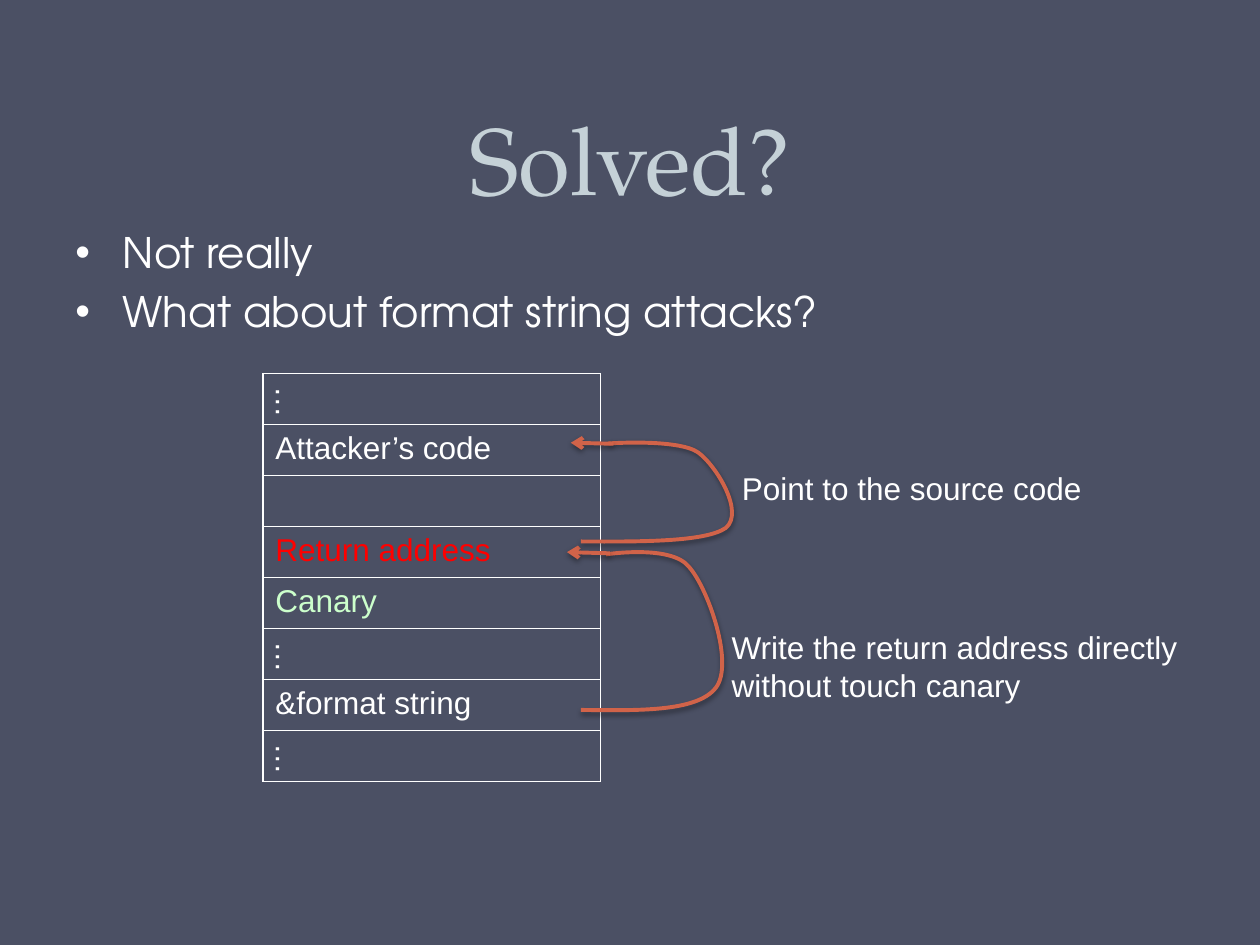
from dataclasses import dataclass

import pptx
import pptx.enum.shapes
import pptx.enum.text
import pptx.oxml
import pptx.oxml.ns
import pptx.util
from pptx.dml.color import RGBColor
from pptx.util import Pt

BACKGROUND = RGBColor(0x4B, 0x50, 0x64)
TITLE_COLOR = RGBColor(0xC5, 0xD1, 0xD7)
WHITE = RGBColor(0xFF, 0xFF, 0xFF)
RED = RGBColor(0xFF, 0x00, 0x00)
PALE_GREEN = RGBColor(0xCC, 0xFF, 0xCC)
ORANGE = RGBColor(0xD1, 0x63, 0x49)
BODY_FONT = "Arial"
BODY_SIZE = 18
ROW_HEIGHT = 29.16

Point = tuple[float, float]


@dataclass
class StackRow:
    text: str
    color: RGBColor = WHITE


@dataclass
class Label:
    lines: list[str]
    left: float
    top: float
    width: float
    height: float


@dataclass
class CurvedArrow:
    """A chain of cubic curves (start, then three points each) and its arrow tip."""
    top_left: Point
    bottom_right: Point
    points: list[Point]
    tip_start: Point
    tip_end: Point


STACK = [
    StackRow("…"), StackRow("Attacker’s code"), StackRow(""),
    StackRow("Return address", RED), StackRow("Canary", PALE_GREEN),
    StackRow("…"), StackRow("&format string"), StackRow("…"),
]
ARROWS = [
    CurvedArrow(
        (331.9, 315.4), (413.3, 406.1),
        [(331.9, 405.7), (365, 406.1), (398.2, 406.8), (409, 393.1),
         (419.8, 379.4), (404.6, 336.2), (393.8, 324),
         (383.8, 311), (346.3, 316.8), (346.3, 316.8)],
        (348.5, 316.2), (324, 315.5)),
    CurvedArrow(
        (331.9, 252.7), (418.3, 309.2),
        [(331.9, 309.4), (367.2, 309.6), (403.2, 309.6), (414.7, 301.7),
         (425.5, 293), (409.7, 266.4), (398.9, 258.5),
         (387.4, 250.6), (347.8, 253.4), (347.8, 253.4)],
        (350.6, 253.6), (326.2, 253)),
]
LABELS = [
    Label(["Write the return address directly", "without touch canary"],
          411, 355.2, 272.2, 51),
    Label(["Point to the source code"], 416.8, 264.2, 210.2, 29),
]


def xml(tag: str, attributes: str = "", content: str = ""):
    namespace = pptx.oxml.ns.nsdecls("a")
    return pptx.oxml.parse_xml(f"<a:{tag} {namespace} {attributes}>{content}</a:{tag}>")


def format_paragraph(paragraph, font: str, size: float, color: RGBColor) -> None:
    for run in paragraph.runs:
        run.font.name = font
        run.font.size = Pt(size)
        run.font.color.rgb = color


def add_text(slide, lines: list[str], left: float, top: float, width: float,
             height: float, font: str, size: float, color: RGBColor, wrap: bool = True):
    box = slide.shapes.add_textbox(Pt(left), Pt(top), Pt(width), Pt(height))
    box.text_frame.word_wrap = wrap
    box.text_frame.text = "\n".join(lines)
    for paragraph in box.text_frame.paragraphs:
        format_paragraph(paragraph, font, size, color)
    return box.text_frame


def add_title(slide) -> None:
    frame = add_text(slide, ["Solved?"], 36, 0, 648, 126,
                     "TeX Gyre Pagella", 54, TITLE_COLOR)
    frame.vertical_anchor = pptx.enum.text.MSO_ANCHOR.BOTTOM
    frame.paragraphs[0].alignment = pptx.enum.text.PP_ALIGN.CENTER
    frame.paragraphs[0].line_spacing = Pt(58)


def add_bullets(slide) -> None:
    frame = add_text(slide, ["Not really", "What about format string attacks?"],
                     36, 126, 648, 356.4, "TeX Gyre Adventor", 24, WHITE)
    for paragraph in frame.paragraphs:
        paragraph.space_before = Pt(4.8)
        properties = paragraph._p.get_or_add_pPr()
        properties.set("marL", str(Pt(27)))
        properties.set("indent", str(Pt(-27)))
        properties.append(xml("buFont", 'typeface="Arial"'))
        properties.append(xml("buChar", 'char="•"'))


def add_stack(slide) -> None:
    table = slide.shapes.add_table(len(STACK), 1, Pt(150.2), Pt(213.5), Pt(193),
                                   Pt(ROW_HEIGHT * len(STACK))).table
    table.first_row = False
    table.horz_banding = False
    border = f'<a:solidFill><a:srgbClr val="{WHITE}"/></a:solidFill>'
    for index, row in enumerate(STACK):
        table.rows[index].height = Pt(ROW_HEIGHT)
        cell = table.cell(index, 0)
        cell.text_frame.text = row.text
        format_paragraph(cell.text_frame.paragraphs[0], BODY_FONT, BODY_SIZE, row.color)
        cell.fill.background()
        properties = cell._tc.get_or_add_tcPr()
        for position, side in enumerate(("lnL", "lnR", "lnT", "lnB")):
            properties.insert(position, xml(side, f'w="{Pt(1)}"', border))
        if row.text == "…":
            cell.vertical_anchor = pptx.enum.text.MSO_ANCHOR.BOTTOM
            properties.set("vert", "vert")


def style_stroke(shape) -> None:
    """Orange line with a soft shadow straight below."""
    shape.line.color.rgb = ORANGE
    shape.line.width = Pt(2.25)
    shadow = (f'<a:outerShdw blurRad="{Pt(3.1)}" dist="{Pt(1.6)}" dir="5400000" '
              'rotWithShape="0"><a:srgbClr val="000000"><a:alpha val="38000"/>'
              '</a:srgbClr></a:outerShdw>')
    shape.element.spPr.append(xml("effectLst", content=shadow))


def add_curve(slide, arrow: CurvedArrow):
    """Frame a freeform by its corners, then give it the cubic outline."""
    left, top = arrow.top_left
    builder = slide.shapes.build_freeform(Pt(left), Pt(top))
    builder.add_line_segments([tuple(Pt(value) for value in arrow.bottom_right)],
                              close=False)
    curve = builder.convert_to_shape()
    outline = next(curve.element.iter(pptx.oxml.ns.qn("a:path")))
    for segment in list(outline):
        outline.remove(segment)
    points = [f'<a:pt x="{Pt(x - left)}" y="{Pt(y - top)}"/>' for x, y in arrow.points]
    outline.append(xml("moveTo", content=points[0]))
    for first in range(1, len(points), 3):
        outline.append(xml("cubicBezTo", content="".join(points[first:first + 3])))
    return curve


def add_curved_arrow(slide, arrow: CurvedArrow) -> None:
    curve = add_curve(slide, arrow)
    curve.fill.background()
    style_stroke(curve)

    ends = [Pt(value) for value in arrow.tip_start + arrow.tip_end]
    tip = slide.shapes.add_connector(pptx.enum.shapes.MSO_CONNECTOR.STRAIGHT, *ends)
    style_stroke(tip)
    line = tip.element.spPr.find(pptx.oxml.ns.qn("a:ln"))
    line.append(xml("tailEnd", 'type="arrow"'))


def main() -> None:
    presentation = pptx.Presentation()
    presentation.slide_width = Pt(720)
    presentation.slide_height = Pt(540)
    slide = presentation.slides.add_slide(presentation.slide_layouts[6])
    slide.background.fill.solid()
    slide.background.fill.fore_color.rgb = BACKGROUND
    add_title(slide)
    add_bullets(slide)
    add_stack(slide)
    for arrow, label in zip(ARROWS, LABELS):
        add_curved_arrow(slide, arrow)
        frame = add_text(slide, label.lines, label.left, label.top, label.width,
                         label.height, BODY_FONT, BODY_SIZE, WHITE, wrap=False)
        frame.auto_size = pptx.enum.text.MSO_AUTO_SIZE.SHAPE_TO_FIT_TEXT
    presentation.save("out.pptx")


if __name__ == "__main__":
    main()
